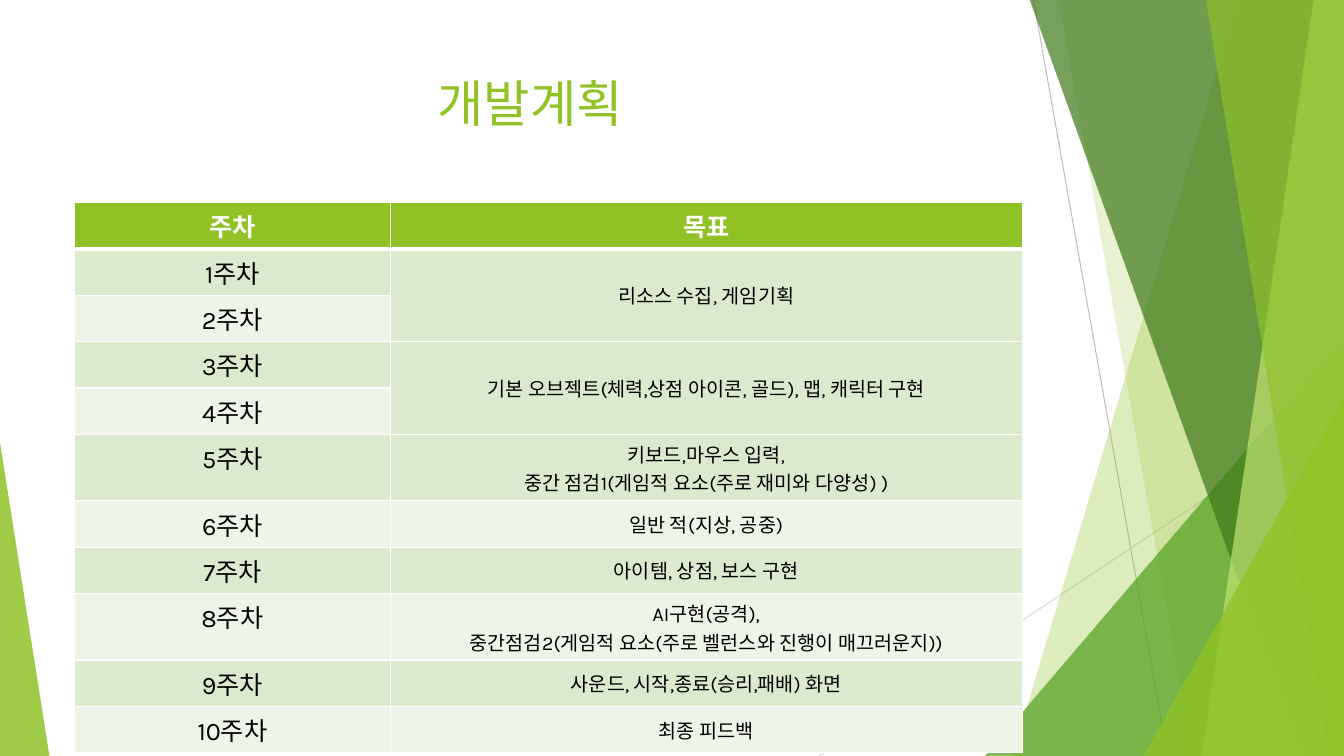
from lxml import etree
from pptx import Presentation
from pptx.dml.color import RGBColor
from pptx.enum.shapes import MSO_CONNECTOR, MSO_SHAPE
from pptx.enum.text import MSO_ANCHOR, PP_ALIGN
from pptx.oxml.ns import qn
from pptx.util import Inches, Pt

TRIANGLE = MSO_SHAPE.ISOSCELES_TRIANGLE
STRAIGHT = MSO_CONNECTOR.STRAIGHT
CENTER = PP_ALIGN.CENTER
TOP, MIDDLE = MSO_ANCHOR.TOP, MSO_ANCHOR.MIDDLE

SLIDE_W, SLIDE_H = 13.33, 7.5
FONT = "Karla"
GREEN, WHITE, BLACK = "90C226", "FFFFFF", "000000"
BANDS = ("DBE9CD", "EEF4E8")

TITLE = "개발계획"
HEADERS = ("주차", "목표")
# Goal text and the number of weeks it covers
GOALS = [
    ("리소스 수집, 게임기획", 2),
    ("기본 오브젝트(체력,상점 아이콘, 골드), 맵, 캐릭터 구현", 2),
    ("키보드,마우스 입력,\n중간 점검1(게임적 요소(주로 재미와 다양성) )", 1),
    ("일반 적(지상, 공중)", 1),
    ("아이템, 상점, 보스 구현", 1),
    ("AI구현(공격),\n중간점검2(게임적 요소(주로 벨런스와 진행이 매끄러운지))", 1),
    ("사운드, 시작,종료(승리,패배) 화면", 1),
    ("최종 피드백", 1),
]
COLUMN_WIDTHS = (3.13, 6.27)
TABLE_LEFT, TABLE_TOP = 0.74, 2.01
ROW_H, TALL_ROW_H = 0.46, 0.66

# Hairlines: start, end, colour
HAIRLINES = [
    ((10.25, 0), (11.58, 7.5), "BFBFBF"),
    ((13.33, 4.03), (8.12, 7.5), "D9D9D9"),
]
# Decoration from back to front. Rays: top x, bottom x, colour, opacity.
# Peaks: left, top, width, apex (0 left, 1 right), colour, opacity.
DECORATION = [
    ("ray", 12.28, 10.04, GREEN, 30),
    ("ray", 10.5, 11.83, GREEN, 20),
    ("peak", 9.77, 3.33, 3.56, 1, "54A021", 72),
    ("ray", 10.21, 12.91, "3F7819", 70),
    ("ray", 13.03, 11.92, "C0E474", 70),
    ("ray", 11.96, 13.18, GREEN, 65),
    ("peak", 11.34, 3.93, 1.99, 1, GREEN, 80),
    ("peak", 0, 4.39, 0.49, 0, GREEN, 85),
]


def rgb(color):
    """Turn a hex string into a colour."""
    return RGBColor.from_string(color)


def paint(shape, color, opacity):
    """Give a shape a translucent fill without outline or shadow."""
    shape.shadow.inherit = False
    shape.line.fill.background()
    shape.fill.solid()
    shape.fill.fore_color.rgb = rgb(color)
    tint = shape.fill._xPr.find(qn("a:solidFill"))[0]
    etree.SubElement(tint, qn("a:alpha"), val=str(opacity * 1000))


def add_hairline(slide, start, end, color):
    """Draw a thin straight line."""
    line = slide.shapes.add_connector(
        STRAIGHT, *(Inches(value) for value in start + end))
    line.line.color.rgb = rgb(color)
    line.line.width = Pt(0.75)
    etree.SubElement(line._element.spPr, qn("a:effectLst"))


def add_ray(slide, top_x, bottom_x, color, opacity):
    """Fill the area from a slanted edge to the right side of the slide."""
    corners = [(top_x, -0.01), (SLIDE_W, -0.01),
               (SLIDE_W, SLIDE_H), (bottom_x, SLIDE_H)]
    points = [(Inches(x), Inches(y)) for x, y in corners]
    outline = slide.shapes.build_freeform(*points[0], scale=1.0)
    outline.add_line_segments(points[1:], close=True)
    paint(outline.convert_to_shape(), color, opacity)


def add_peak(slide, left, top, width, apex, color, opacity):
    """Stand a right-angled triangle on the bottom edge."""
    peak = slide.shapes.add_shape(
        TRIANGLE, Inches(left), Inches(top), Inches(width), Inches(SLIDE_H - top))
    peak.adjustments[0] = apex
    paint(peak, color, opacity)


def style_text(frame, size, color, bold=False):
    """Format every run in a text frame."""
    for paragraph in frame.paragraphs:
        for run in paragraph.runs:
            run.font.name = FONT
            run.font.size = Pt(size)
            run.font.bold = bold
            run.font.color.rgb = rgb(color)


def add_title(slide):
    """Place the heading, indented from the left edge of the table."""
    box = slide.shapes.add_textbox(
        Inches(TABLE_LEFT), Inches(0.67), Inches(sum(COLUMN_WIDTHS)), Inches(1.44))
    frame = box.text_frame
    frame.word_wrap = True
    frame.vertical_anchor = TOP
    frame.margin_left = Inches(3.6)
    frame.text = TITLE
    style_text(frame, 36, GREEN)


def fill_cell(cell, text, size, color, fill, header=False, anchor=TOP):
    """Write a centred cell with white borders and a solid fill."""
    cell.text_frame.text = text
    cell.vertical_anchor = anchor
    for paragraph in cell.text_frame.paragraphs:
        paragraph.alignment = CENTER
    style_text(cell.text_frame, size, color, header)
    for side in ("L", "R", "T", "B"):
        points = 3 if header and side == "B" else 1
        border = etree.SubElement(
            cell._tc.get_or_add_tcPr(), qn("a:ln" + side), w=str(Pt(points)))
        solid = etree.SubElement(border, qn("a:solidFill"))
        etree.SubElement(solid, qn("a:srgbClr"), val=WHITE)
    cell.fill.solid()
    cell.fill.fore_color.rgb = rgb(fill)


def add_plan(slide):
    """Build the weekly plan, merging goals that cover several weeks."""
    heights = [ROW_H]
    for goal, weeks in GOALS:
        heights += [TALL_ROW_H if "\n" in goal else ROW_H] * weeks
    plan = slide.shapes.add_table(
        len(heights), len(HEADERS), Inches(TABLE_LEFT), Inches(TABLE_TOP),
        Inches(sum(COLUMN_WIDTHS)), Inches(sum(heights))).table
    for column, width in zip(plan.columns, COLUMN_WIDTHS):
        column.width = Inches(width)
    for row, height in zip(plan.rows, heights):
        row.height = Inches(height)
    for index, header in enumerate(HEADERS):
        fill_cell(plan.cell(0, index), header, 18, WHITE, GREEN, header=True)
    for week in range(1, len(heights)):
        fill_cell(plan.cell(week, 0), f"{week}주차", 18, BLACK, BANDS[(week - 1) % 2])
    week = 1
    for goal, weeks in GOALS:
        cell = plan.cell(week, 1)
        if weeks > 1:
            cell.merge(plan.cell(week + weeks - 1, 1))
        fill_cell(cell, goal, 14, BLACK, BANDS[(week - 1) % 2], anchor=MIDDLE)
        week += weeks


prs = Presentation()
prs.slide_width, prs.slide_height = Inches(SLIDE_W), Inches(SLIDE_H)
slide = prs.slides.add_slide(prs.slide_layouts[6])
for hairline in HAIRLINES:
    add_hairline(slide, *hairline)
drawers = {"ray": add_ray, "peak": add_peak}
for kind, *details in DECORATION:
    drawers[kind](slide, *details)
add_title(slide)
add_plan(slide)
prs.save("out.pptx")
